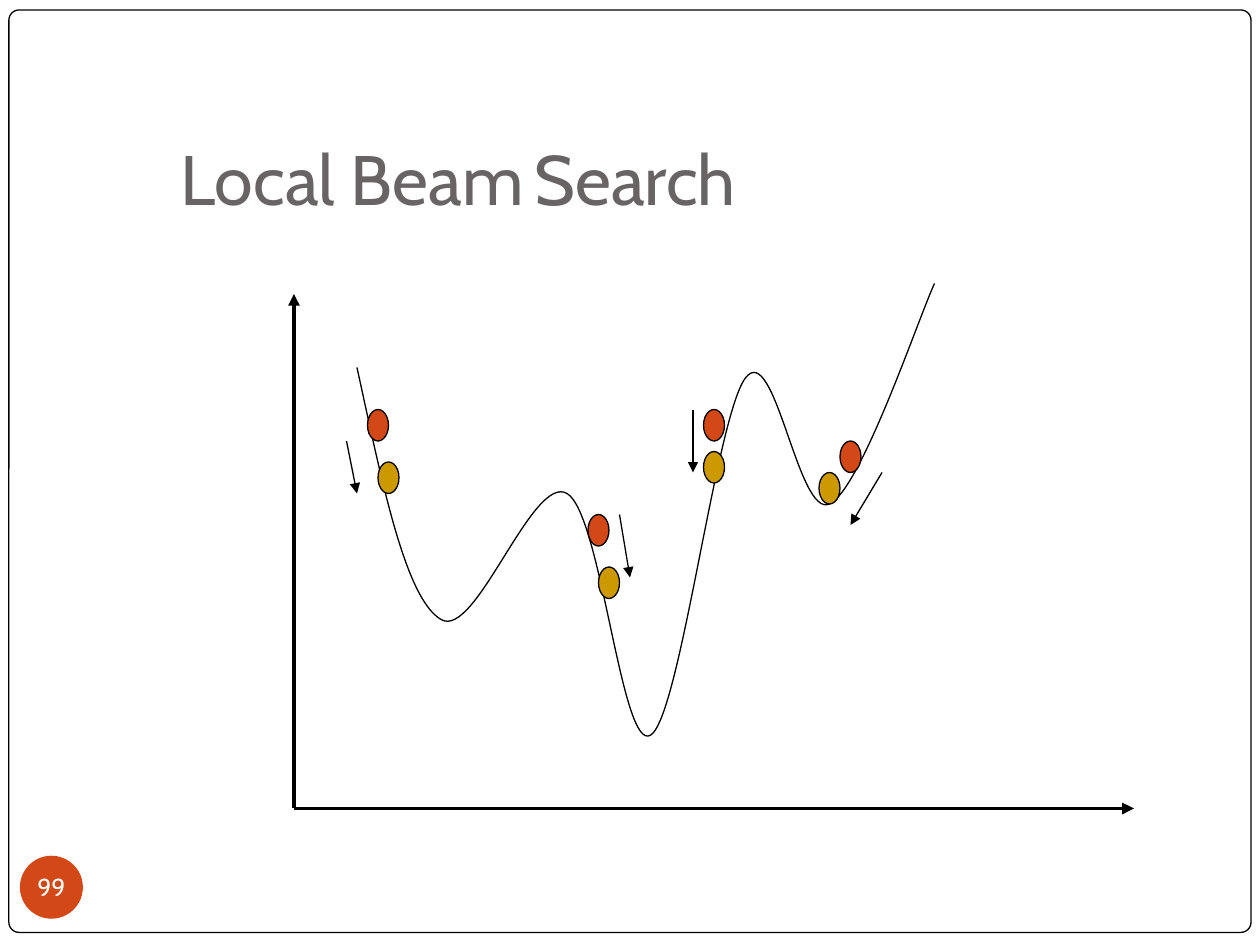
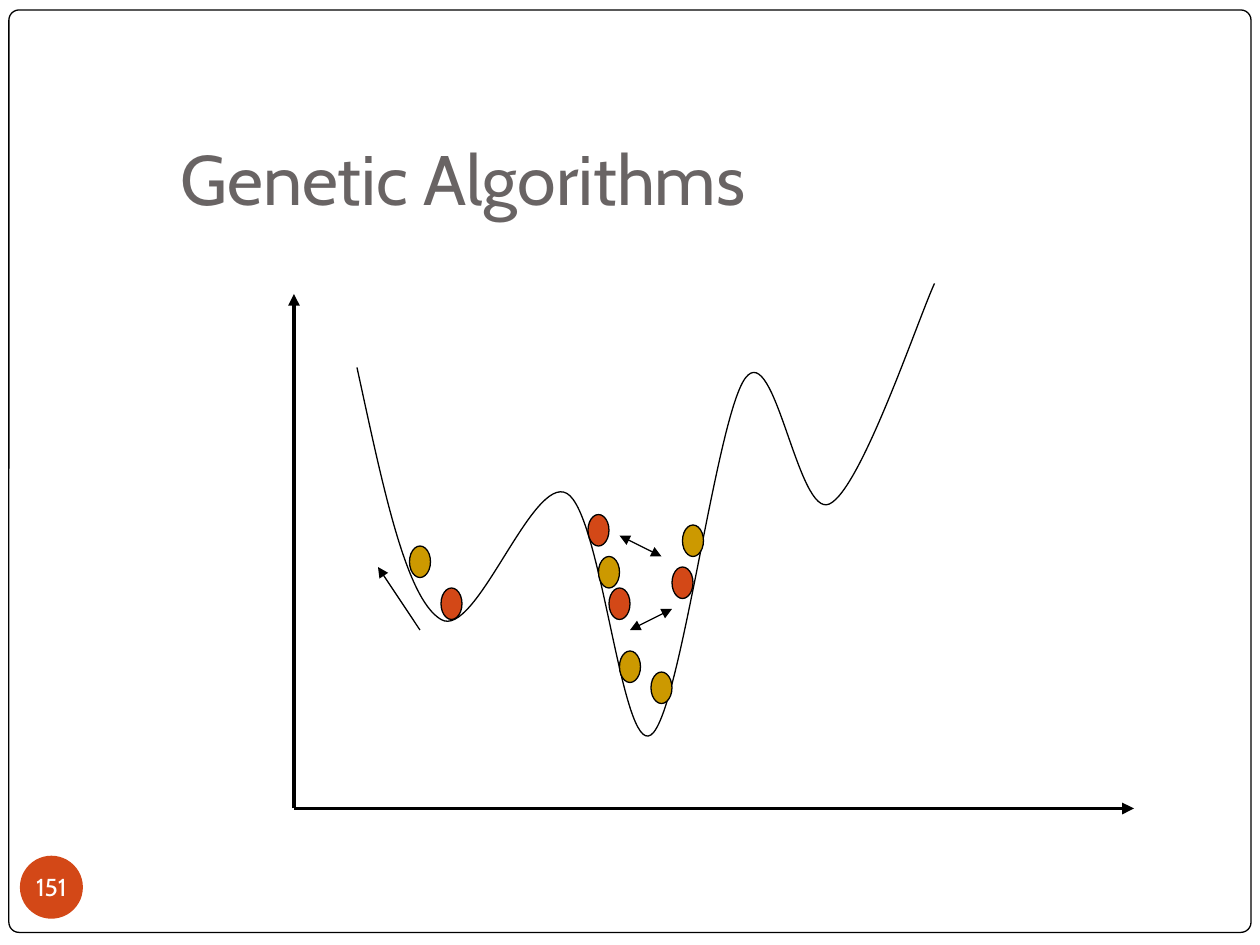
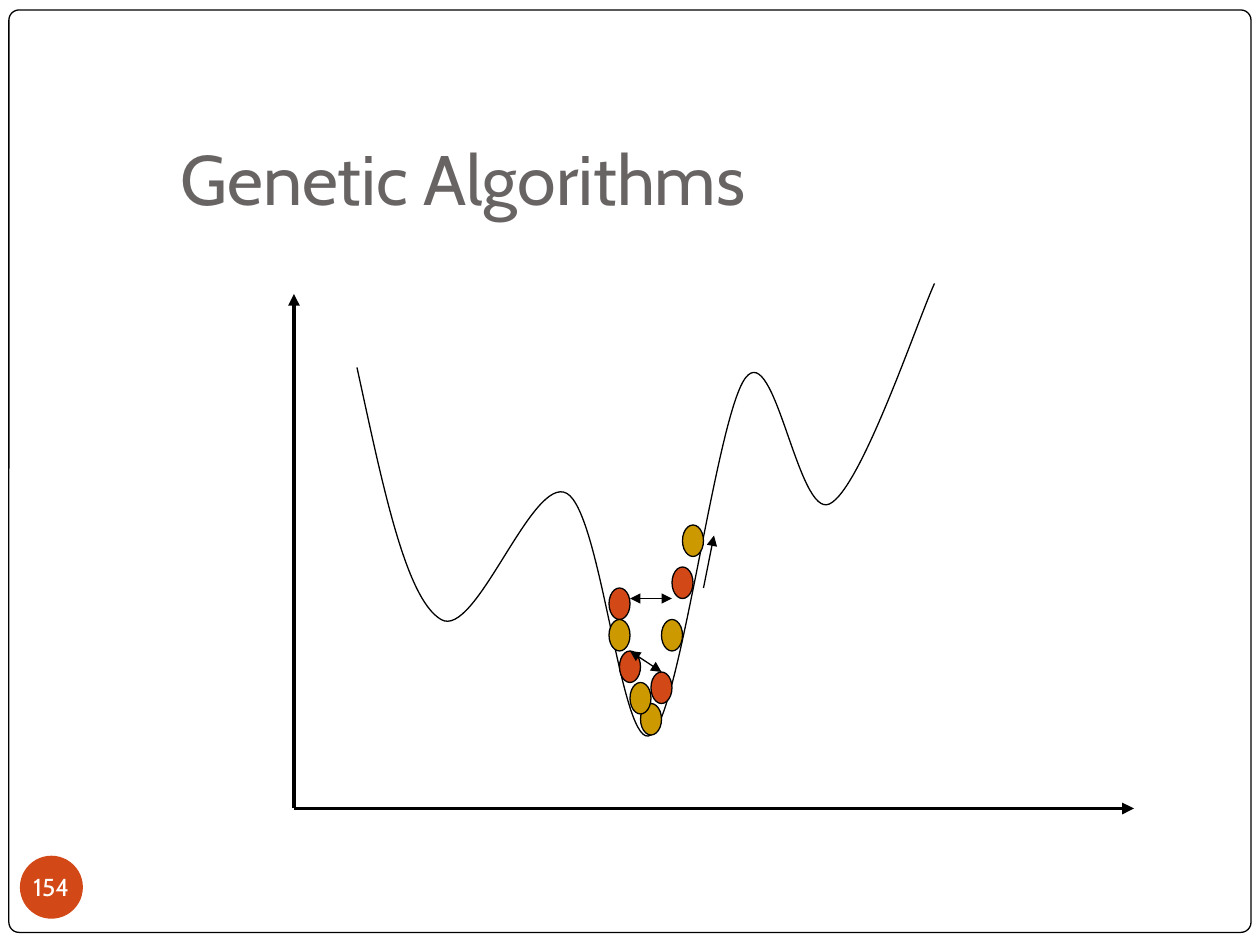
from dataclasses import dataclass

from lxml import etree
from pptx import Presentation
from pptx.dml.color import RGBColor
from pptx.enum.shapes import MSO_CONNECTOR, MSO_SHAPE
from pptx.enum.text import MSO_ANCHOR, MSO_AUTO_SIZE, PP_ALIGN
from pptx.oxml.ns import qn
from pptx.util import Inches, Pt

OVAL, ROUND = MSO_SHAPE.OVAL, MSO_SHAPE.ROUNDED_RECTANGLE
LINE = MSO_CONNECTOR.STRAIGHT
LEFT, CENTER = PP_ALIGN.LEFT, PP_ALIGN.CENTER
BOTTOM, MIDDLE = MSO_ANCHOR.BOTTOM, MSO_ANCHOR.MIDDLE
FIXED = MSO_AUTO_SIZE.NONE
TITLE_ONLY = 5
COLS, ROWS = 120, 90  # square cells, twelve to the inch


@dataclass(frozen=True)
class Theme:
    font: str = "Cabin"
    paper: str = "FFFFFF"
    ink: str = "000000"
    title: str = "696464"
    rust: str = "9B2D1F"
    red: str = "D34817"
    gold: str = "CC9900"
    big: int = 40
    mid: int = 28
    small: int = 14
    thin: float = 0.75
    thick: float = 2.25


# Start point, then two control points and an end point for each arc.
CURVE = [
    (34, 35),
    (36.4, 46), (38.6, 57), (42, 59),
    (45.3, 61), (50.7, 45.1), (54, 47),
    (57.3, 48.9), (59.2, 71.9), (62, 70),
    (64.8, 68.1), (68.2, 39.7), (71, 36),
    (73.8, 32.3), (76, 49.4), (79, 48),
    (82, 46.6), (87.4, 30.5), (89, 27),
]
ORIGIN, TOP, RIGHT = (28, 77), (28, 28), (108, 77)
DOT = (2, 3)


class Deck:
    def __init__(self, theme):
        self.theme = theme
        self.prs = Presentation()
        self.prs.slide_width, self.prs.slide_height = Inches(10), Inches(7.5)
        self.slide = None

    def pos(self, col, row):
        return (round(self.prs.slide_width * col / COLS),
                round(self.prs.slide_height * row / ROWS))

    def page(self, title, number):
        self.slide = self.prs.slides.add_slide(self.prs.slide_layouts[TITLE_ONLY])
        self.frame()
        self.head(title)
        self.badge(number)

    def shape(self, kind, spot, size, fill, edge=True):
        item = self.slide.shapes.add_shape(kind, *self.pos(*spot), *self.pos(*size))
        item.shadow.inherit = False
        item.fill.solid()
        item.fill.fore_color.rgb = RGBColor.from_string(fill)
        if edge:
            self.stroke(item, self.theme.thin)
        else:
            item.line.fill.background()
        return item

    def stroke(self, item, width):
        item.line.color.rgb = RGBColor.from_string(self.theme.ink)
        item.line.width = Pt(width)

    def text(self, frame, runs, align, anchor, pads):
        """Fill a text frame with (words, size, colour, italic) runs."""
        frame.auto_size = FIXED
        frame.word_wrap = True
        frame.vertical_anchor = anchor
        (frame.margin_left, frame.margin_top,
         frame.margin_right, frame.margin_bottom) = map(Inches, pads)
        para = frame.paragraphs[0]
        para.alignment = align
        for words, size, color, slant in runs:
            run = para.add_run()
            run.text = words
            run.font.name = self.theme.font
            run.font.size = Pt(size)
            run.font.italic = slant
            run.font.color.rgb = RGBColor.from_string(color)

    def frame(self):
        item = self.shape(ROUND, (0.85, 0.95), (118.3, 87.85), self.theme.paper)
        item.adjustments[0] = 0.011
        self.slide.shapes._spTree.insert(2, item._element)  # send to back

    def head(self, runs):
        box = self.slide.shapes.title
        box.left, box.top = self.pos(16, 11.3)
        box.width, box.height = self.pos(102.2, 10.8)
        self.text(box.text_frame, runs, LEFT, BOTTOM, (0.1, 0.05, 0.1, 0.1))

    def badge(self, number):
        look = self.theme
        item = self.shape(OVAL, (1.9, 81.5), (6, 6), look.red, edge=False)
        runs = [(str(number), look.small, look.paper, False)]
        self.text(item.text_frame, runs, CENTER, MIDDLE, (0, 0, 0, 0))

    def arrow(self, start, end, width, both=False):
        item = self.slide.shapes.add_connector(LINE, *self.pos(*start), *self.pos(*end))
        self.stroke(item, width)
        line = item.line._get_or_add_ln()
        for tip in ("a:headEnd", "a:tailEnd") if both else ("a:tailEnd",):
            etree.SubElement(line, qn(tip), type="triangle")
        etree.SubElement(item._element.spPr, qn("a:effectLst"))

    def curve(self, knots):
        start, *rest = [self.pos(*knot) for knot in knots]
        pen = self.slide.shapes.build_freeform(*start)
        pen.add_line_segments(rest, close=False)
        item = pen.convert_to_shape()
        item.shadow.inherit = False
        item.fill.background()
        self.stroke(item, self.theme.thin)
        # Join each three straight steps into one Bezier arc.
        steps = list(item._element.iter(qn("a:lnTo")))
        for i in range(0, len(steps), 3):
            arc = etree.Element(qn("a:cubicBezTo"))
            steps[i].addprevious(arc)
            for step in steps[i:i + 3]:
                arc.append(step[0])
                step.getparent().remove(step)

    def plot(self, reds, golds, moves, swaps=()):
        """Draw the cost curve with old (red) and new (gold) states."""
        look = self.theme
        for end in (TOP, RIGHT):
            self.arrow(ORIGIN, end, look.thick)
        self.curve(CURVE)
        for spots, fill in ((reds, look.red), (golds, look.gold)):
            for spot in spots:
                self.shape(OVAL, spot, DOT, fill)
        for pairs, both in ((moves, False), (swaps, True)):
            for start, end in pairs:
                self.arrow(start, end, look.thin, both)


def main():
    look = Theme()
    deck = Deck(look)
    beam = [("Local Beam", look.big, look.title, False),
            (" ", look.mid, look.rust, True),
            ("Search", look.big, look.title, False)]
    genes = [("Genetic Algorithms", look.big, look.title, False)]

    deck.page(beam, 99)
    deck.plot(
        reds=[(35, 39), (56, 49), (67, 39), (80, 42)],
        golds=[(36, 44), (57, 54), (78, 45), (67, 43)],
        moves=[((33, 42), (34, 47)), ((59, 49), (60, 55)),
               ((66, 39), (66, 45)), ((84, 45), (81, 50))])

    deck.page(genes, 151)
    deck.plot(
        reds=[(56, 49), (42, 56), (58, 56), (64, 54)],
        golds=[(62, 64), (59, 62), (39, 52), (57, 53), (65, 50)],
        moves=[((40, 60), (36, 54))],
        swaps=[((60, 60), (64, 58)), ((59, 51), (63, 53))])

    deck.page(genes, 154)
    deck.plot(
        reds=[(58, 56), (64, 54), (62, 64), (59, 62)],
        golds=[(65, 50), (61, 67), (60, 65), (58, 59), (63, 59)],
        moves=[((67, 56), (68, 51))],
        swaps=[((60, 62), (63, 64)), ((60, 57), (64, 57))])

    deck.prs.save("out.pptx")


if __name__ == "__main__":
    main()
